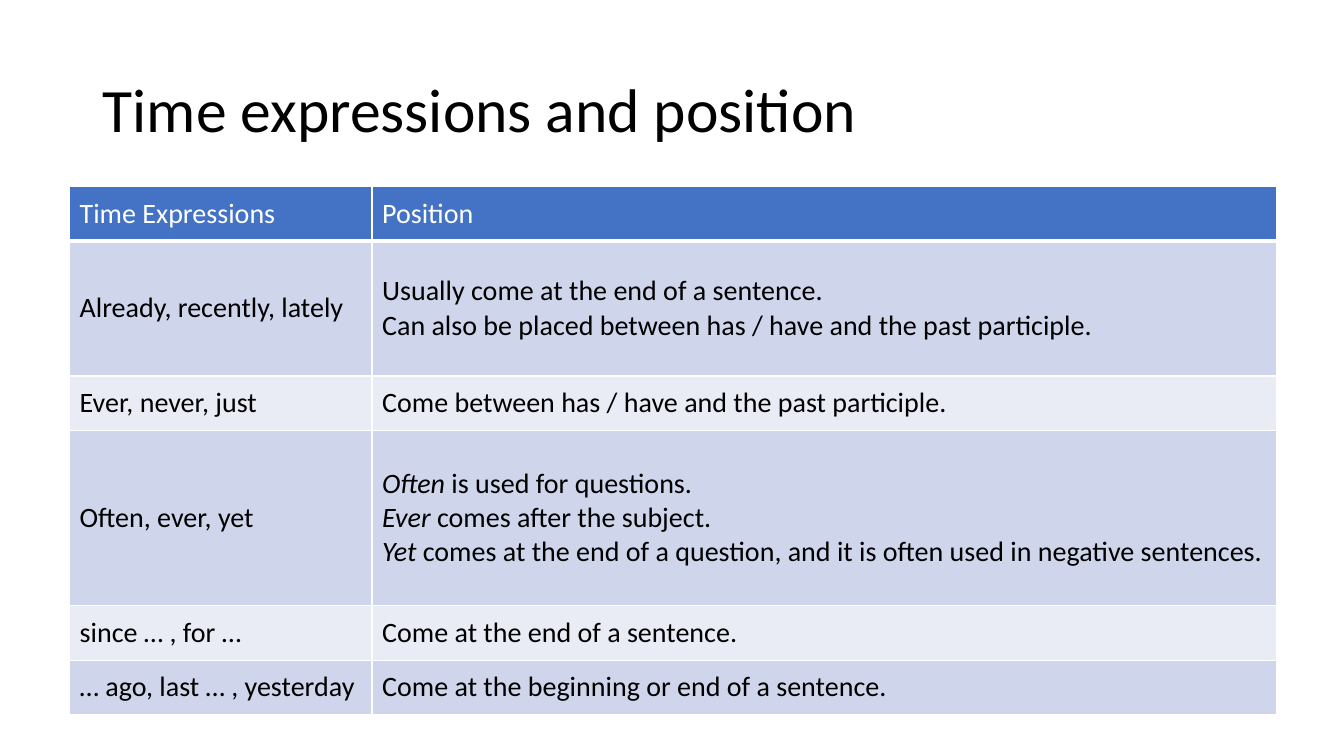
from typing import NamedTuple

from lxml import etree
from pptx import Presentation
from pptx import util as u
from pptx.dml.color import RGBColor
from pptx.enum import text
from pptx.oxml.ns import qn

SLIDE_WIDTH, SLIDE_HEIGHT = u.Inches(13.33), u.Inches(7.5)
FONT = "Calibri"
BLACK = RGBColor(0x00, 0x00, 0x00)
WHITE = RGBColor(0xFF, 0xFF, 0xFF)
HEADER_BLUE = RGBColor(0x44, 0x72, 0xC4)
BAND_FILLS = (RGBColor(0xCF, 0xD5, 0xEA), RGBColor(0xE9, 0xEB, 0xF5))

# Table grid in inches
COLUMN_WIDTHS = (3, 8.97)
SINGLE_ROW = 0.54
TABLE_LEFT, TABLE_TOP = 0.69, 1.85


class Line(NamedTuple):
    body: str
    italic_lead: str = ""


class Row(NamedTuple):
    expressions: str
    positions: tuple[Line, ...]
    height: float = SINGLE_ROW


ROWS = (
    Row("Time Expressions", (Line("Position"),)),
    Row("Already, recently, lately", (
        Line("Usually come at the end of a sentence."),
        Line("Can also be placed between has / have and the past participle."),
    ), 1.34),
    Row("Ever, never, just", (Line("Come between has / have and the past participle."),)),
    Row("Often, ever, yet", (
        Line(" is used for questions.", "Often"),
        Line(" comes after the subject.", "Ever"),
        Line(" comes at the end of a question, and it is often used in negative sentences.", "Yet"),
    ), 1.74),
    Row("since … , for …", (Line("Come at the end of a sentence."),)),
    Row("… ago, last … , yesterday", (Line("Come at the beginning or end of a sentence."),)),
)


def set_attributes(target, values: dict) -> None:
    for name, value in values.items():
        setattr(target, name, value)


def add_run(paragraph, words: str, size: float, color: RGBColor, italic: bool = False) -> None:
    run = paragraph.add_run()
    run.text = words
    set_attributes(run.font, {"name": FONT, "size": u.Pt(size), "bold": False, "italic": italic})
    run.font.color.rgb = color


def add_borders(cell, bottom_width: float) -> None:
    """Draw white lines on all four sides of a cell."""
    properties = cell._tc.get_or_add_tcPr()
    sides = {"a:lnL": 1, "a:lnR": 1, "a:lnT": 1, "a:lnB": bottom_width}
    for index, (tag, width) in enumerate(sides.items()):
        border = etree.Element(qn(tag), w=str(u.Pt(width)))
        fill = etree.SubElement(border, qn("a:solidFill"))
        etree.SubElement(fill, qn("a:srgbClr"), val=str(WHITE))
        properties.insert(index, border)


def fill_cell(cell, lines: tuple[Line, ...], fill: RGBColor, color: RGBColor, bottom: float) -> None:
    cell.vertical_anchor = text.MSO_ANCHOR.MIDDLE
    cell.fill.solid()
    cell.fill.fore_color.rgb = fill
    add_borders(cell, bottom)
    frame = cell.text_frame
    for index, line in enumerate(lines):
        paragraph = frame.add_paragraph() if index else frame.paragraphs[0]
        if line.italic_lead:
            add_run(paragraph, line.italic_lead, 20, color, italic=True)
        add_run(paragraph, line.body, 20, color)


def add_title(slide, words: str) -> None:
    title = slide.shapes.title
    set_attributes(title, {
        "left": int(SLIDE_WIDTH * 0.069), "top": int(SLIDE_HEIGHT * 0.053),
        "width": int(SLIDE_WIDTH * 0.863), "height": int(SLIDE_HEIGHT * 0.193),
    })
    set_attributes(title.text_frame, {
        "word_wrap": True,
        "auto_size": text.MSO_AUTO_SIZE.NONE,
        "vertical_anchor": text.MSO_ANCHOR.MIDDLE,
    })
    paragraph = title.text_frame.paragraphs[0]
    set_attributes(paragraph, {"alignment": text.PP_ALIGN.LEFT, "line_spacing": 0.9})
    add_run(paragraph, words, 44, BLACK)


def add_expression_table(slide) -> None:
    height = sum(row.height for row in ROWS)
    table = slide.shapes.add_table(
        len(ROWS), len(COLUMN_WIDTHS), u.Inches(TABLE_LEFT), u.Inches(TABLE_TOP),
        u.Inches(sum(COLUMN_WIDTHS)), u.Inches(height),
    ).table
    for column, width in zip(table.columns, COLUMN_WIDTHS):
        column.width = u.Inches(width)
    for index, row in enumerate(ROWS):
        table.rows[index].height = u.Inches(row.height)
        if index == 0:
            fill, color, bottom = HEADER_BLUE, WHITE, 3
        else:
            fill, color, bottom = BAND_FILLS[(index - 1) % 2], BLACK, 1
        for column, lines in enumerate(((Line(row.expressions),), row.positions)):
            fill_cell(table.cell(index, column), lines, fill, color, bottom)


def main() -> None:
    presentation = Presentation()
    set_attributes(presentation, {"slide_width": SLIDE_WIDTH, "slide_height": SLIDE_HEIGHT})
    slide = presentation.slides.add_slide(presentation.slide_layouts.get_by_name("Title Only"))
    add_title(slide, "Time expressions and position")
    add_expression_table(slide)
    presentation.save("out.pptx")


if __name__ == "__main__":
    main()
